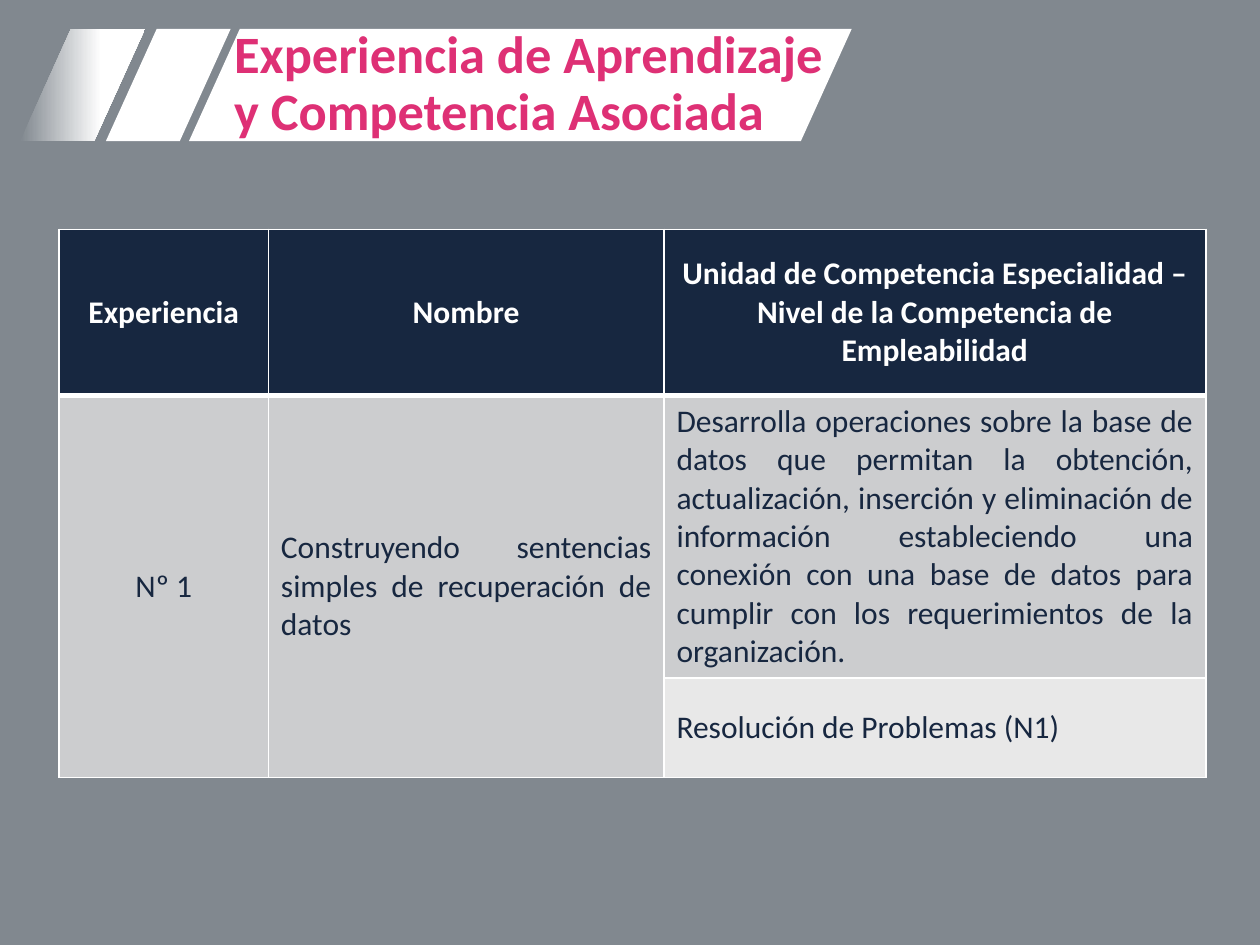
from lxml import etree
from pptx import Presentation
from pptx import util as u
from pptx.dml.color import RGBColor
from pptx.enum import shapes, text
from pptx.oxml.ns import qn

NAVY, GREY, WHITE, PINK = "172740", "81888F", "FFFFFF", "DE3075"
MID, LIGHT = "CCCDCF", "E8E8E8"
CENTER, JUSTIFY = text.PP_ALIGN.CENTER, text.PP_ALIGN.JUSTIFY


def color(value):
    return RGBColor.from_string(value)


class Deck:
    """Style and current slide; lengths are units of a 100 x 75 grid."""
    font = "Calibri"
    columns, rows = 100, 75

    def __init__(self, width, height, background):
        self.presentation = Presentation()
        self.presentation.slide_width = u.Inches(width)
        self.presentation.slide_height = u.Inches(height)
        self.slide = self.presentation.slides.add_slide(self.presentation.slide_layouts[6])
        fill = self.slide.background.fill
        fill.solid()
        fill.fore_color.rgb = color(background)

    def x(self, columns):
        return round(self.presentation.slide_width * columns / self.columns)

    def y(self, rows):
        return round(self.presentation.slide_height * rows / self.rows)

    def box(self, left, top, width, height):
        return self.x(left), self.y(top), self.x(width), self.y(height)

    def run(self, paragraph, words, size, ink, bold=False):
        run = paragraph.add_run()
        run.text = words
        run.font.name, run.font.size, run.font.bold = self.font, u.Pt(size), bold
        run.font.color.rgb = color(ink)

    def slanted_bar(self, left, top, width, height, fade=None):
        shape = self.slide.shapes.add_shape(
            shapes.MSO_SHAPE.PARALLELOGRAM, *self.box(left, top, width, height))
        shape.adjustments[0] = 0.453
        shape.shadow.inherit = False
        shape.line.fill.background()
        if fade:
            shape.fill.gradient()
            shape.fill.gradient_angle = 0
            for stop, position, tone in zip(shape.fill.gradient_stops, (0, 0.65), (fade, WHITE)):
                stop.position = position
                stop.color.rgb = color(tone)
        else:
            shape.fill.solid()
            shape.fill.fore_color.rgb = color(WHITE)

    def title(self, lines, left, top, width, height):
        frame = self.slide.shapes.add_textbox(*self.box(left, top, width, height)).text_frame
        frame.word_wrap = True
        frame.vertical_anchor = text.MSO_ANCHOR.MIDDLE
        paragraph = frame.paragraphs[0]
        paragraph.line_spacing = 0.9
        for index, line in enumerate(lines):
            if index:
                paragraph.add_line_break()
            self.run(paragraph, line, 30, PINK, bold=True)

    def table(self, left, top, widths, heights):
        table = self.slide.shapes.add_table(
            len(heights), len(widths),
            *self.box(left, top, sum(widths), sum(heights))).table
        for column, width in zip(table.columns, widths):
            column.width = self.x(width)
        for row, height in zip(table.rows, heights):
            row.height = self.y(height)
        return table

    def cell(self, cell, words, fill, align, ink=NAVY, bold=False, bottom=1):
        cell.fill.solid()
        cell.fill.fore_color.rgb = color(fill)
        cell.vertical_anchor = text.MSO_ANCHOR.MIDDLE
        paragraph = cell.text_frame.paragraphs[0]
        paragraph.alignment = align
        if words:
            self.run(paragraph, words, 18, ink, bold)
        # Borders come before the fill in the cell properties
        properties = cell._tc.get_or_add_tcPr()
        for index, (side, points) in enumerate(
                (("lnL", 1), ("lnR", 1), ("lnT", 1), ("lnB", bottom))):
            line = etree.Element(qn("a:" + side), w=str(u.Pt(points)))
            solid = etree.SubElement(line, qn("a:solidFill"))
            etree.SubElement(solid, qn("a:srgbClr"), val=WHITE)
            properties.insert(index, line)


def main():
    deck = Deck(10, 7.5, GREY)

    # Title banner
    banner_top, banner_height = 2.3, 8.9
    for left, width, fade in ((8.4, 9.9, None), (1.6, 9.9, GREY), (15, 52.6, None)):
        deck.slanted_bar(left, banner_top, width, banner_height, fade)

    # Learning experience table
    table = deck.table(4.7, 18.2, (16.6, 31.4, 43), (13.2, 22.4, 7.9))
    headings = ("Experiencia", "Nombre",
                "Unidad de Competencia Especialidad – Nivel de la Competencia de Empleabilidad")
    for index, heading in enumerate(headings):
        deck.cell(table.cell(0, index), heading, NAVY, CENTER, WHITE, bold=True, bottom=3)

    # Number and name span both competence rows
    spanning = (("Nº 1", CENTER),
                ("Construyendo sentencias simples de recuperación de datos", JUSTIFY))
    for index, (words, align) in enumerate(spanning):
        table.cell(1, index).merge(table.cell(2, index))
        deck.cell(table.cell(1, index), words, MID, align)
        deck.cell(table.cell(2, index), "", MID, align)

    competences = (
        ("Desarrolla operaciones sobre la base de datos que permitan la obtención, "
         "actualización, inserción y eliminación de información estableciendo una "
         "conexión con una base de datos para cumplir con los requerimientos de la "
         "organización.", MID),
        ("Resolución de Problemas (N1)", LIGHT))
    for row, (words, fill) in enumerate(competences, start=1):
        deck.cell(table.cell(row, 2), words, fill, JUSTIFY)

    # Title
    deck.title(("Experiencia de Aprendizaje", "y Competencia Asociada"),
               17.6, banner_top, 50.2, banner_height)

    deck.presentation.save("out.pptx")


if __name__ == "__main__":
    main()
